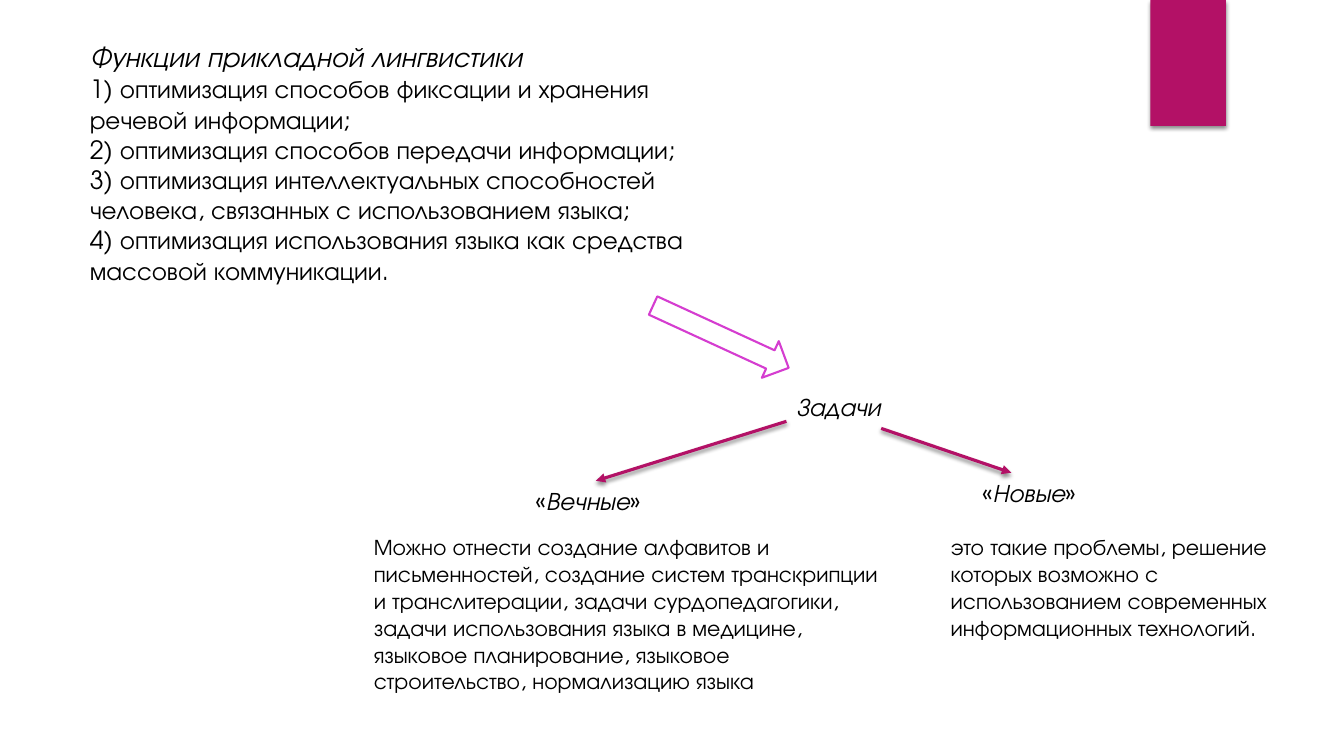
from lxml.etree import SubElement
from pptx import Presentation
from pptx.dml.color import RGBColor
from pptx.enum.shapes import MSO_CONNECTOR, MSO_SHAPE
from pptx.enum.text import MSO_ANCHOR, MSO_AUTO_SIZE, PP_ALIGN
from pptx.oxml.ns import qn
from pptx.util import Inches, Pt

FONT = "TeX Gyre Adventor"
BLACK = RGBColor(0x00, 0x00, 0x00)
WHITE = RGBColor(0xFF, 0xFF, 0xFF)
CRIMSON = RGBColor(0xB3, 0x11, 0x66)
ORCHID = RGBColor(0xD5, 0x3D, 0xD0)

HEADING = "Функции прикладной лингвистики"
FUNCTIONS = [
    "1) оптимизация способов фиксации и хранения речевой информации;",
    "2) оптимизация способов передачи информации;",
    "3) оптимизация интеллектуальных способностей человека, связанных с использованием языка;",
    "4) оптимизация использования языка как средства массовой коммуникации.",
]
ETERNAL_TASKS = (
    "Можно отнести создание алфавитов и письменностей, создание систем "
    "транскрипции и транслитерации, задачи сурдопедагогики, задачи "
    "использования языка в медицине, языковое планирование, языковое "
    "строительство, нормализацию языка"
)
NEW_TASKS = (
    "это такие проблемы, решение которых возможно с использованием "
    "современных информационных технологий."
)


def inches(*values):
    return [Inches(value) for value in values]


def place(shape, box):
    shape.left, shape.top, shape.width, shape.height = inches(*box)


def write_paragraph(paragraph, runs, size):
    paragraph.alignment = PP_ALIGN.LEFT
    paragraph.space_before = Pt(0)
    for text, italic in runs:
        run = paragraph.add_run()
        run.text = text
        run.font.name = FONT
        run.font.size = Pt(size)
        run.font.italic = italic
        run.font.color.rgb = BLACK


def write_text(shape, paragraphs, size):
    frame = shape.text_frame
    frame.word_wrap = True
    frame.auto_size = MSO_AUTO_SIZE.NONE
    frame.vertical_anchor = MSO_ANCHOR.TOP
    for index, runs in enumerate(paragraphs):
        paragraph = frame.add_paragraph() if index else frame.paragraphs[0]
        write_paragraph(paragraph, runs, size)


def remove_bullets(shape):
    for paragraph in shape.text_frame.paragraphs:
        properties = paragraph._p.get_or_add_pPr()
        properties.set("marL", "0")
        properties.set("indent", "0")
        SubElement(properties, qn("a:buNone"))


def add_text(slide, box, runs, size):
    write_text(slide.shapes.add_textbox(*inches(*box)), [runs], size)


def add_shadow(shape):
    effects = SubElement(shape._element.spPr, qn("a:effectLst"))
    shadow = SubElement(
        effects, qn("a:outerShdw"),
        blurRad=str(Pt(3)), dist=str(Pt(2)), dir="5400000", rotWithShape="0",
    )
    color = SubElement(shadow, qn("a:srgbClr"), val=str(BLACK))
    SubElement(color, qn("a:alpha"), val="45000")


def add_accent_bar(slide):
    bar = slide.shapes.add_shape(MSO_SHAPE.RECTANGLE, *inches(11.41, 0, 0.75, 1.25))
    bar.fill.solid()
    bar.fill.fore_color.rgb = CRIMSON
    bar.line.fill.background()
    add_shadow(bar)


def add_block_arrow(slide):
    arrow = slide.shapes.add_shape(MSO_SHAPE.DOWN_ARROW, *inches(6.95, 2.6, 0.4, 1.48))
    arrow.rotation = 294.7
    arrow.shadow.inherit = False
    arrow.fill.solid()
    arrow.fill.fore_color.rgb = WHITE
    arrow.line.color.rgb = ORCHID
    arrow.line.width = Pt(1.5)


def add_arrow(slide, start, end):
    arrow = slide.shapes.add_connector(MSO_CONNECTOR.STRAIGHT, *inches(*start, *end))
    arrow.line.color.rgb = CRIMSON
    arrow.line.width = Pt(2.25)
    SubElement(arrow.line._get_or_add_ln(), qn("a:tailEnd"), type="triangle")
    add_shadow(arrow)


def main():
    presentation = Presentation()
    presentation.slide_width, presentation.slide_height = inches(13.33, 7.5)
    slide = presentation.slides.add_slide(presentation.slide_layouts[1])

    add_accent_bar(slide)
    title, functions = slide.placeholders
    place(title, (0.79, 0.34, 6.64, 0.43))
    write_text(title, [[(HEADING, True)]], 20)
    place(functions, (0.79, 0.68, 6.64, 2.82))
    write_text(functions, [[(text, False)] for text in FUNCTIONS], 18)
    remove_bullets(functions)

    add_block_arrow(slide)
    add_text(slide, (7.8, 3.83, 1.31, 0.4), [("Задачи", True)], 18)
    add_arrow(slide, (7.8, 4.18), (5.91, 4.77))
    add_arrow(slide, (8.74, 4.25), (10.03, 4.69))

    branches = [
        ("Вечные", (5.21, 4.77, 1.41, 0.4), ETERNAL_TASKS, (3.61, 5.24, 5.27, 1.99)),
        ("Новые", (9.64, 4.69, 1.45, 0.4), NEW_TASKS, (9.33, 5.24, 3.84, 1.78)),
    ]
    for name, name_box, tasks, tasks_box in branches:
        add_text(slide, name_box, [("«", False), (name, True), ("»", False)], 18)
        add_text(slide, tasks_box, [(tasks, False)], 16)

    presentation.save("out.pptx")


main()
